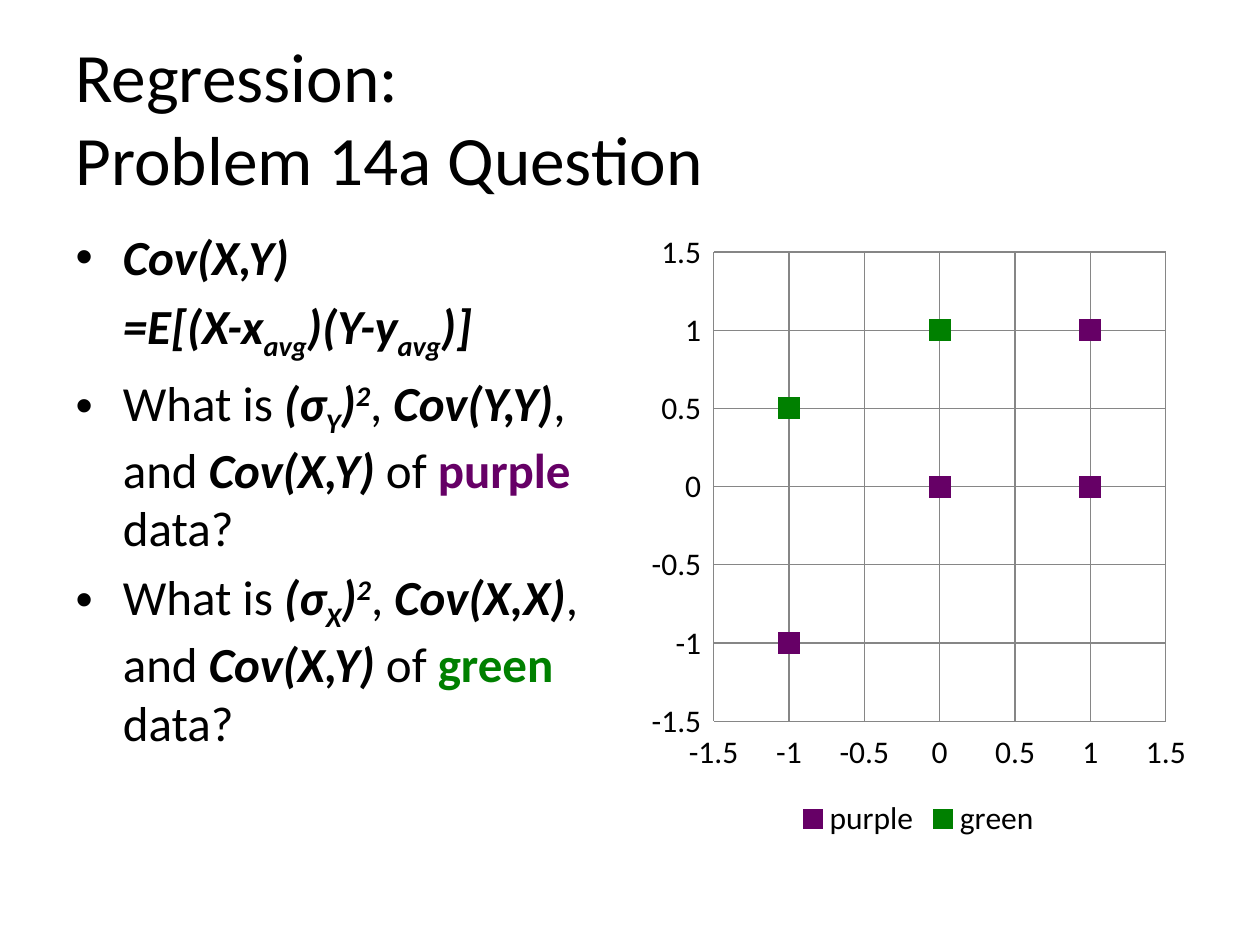
import pptx
import pptx.util
import pptx.chart.data
import pptx.dml.color
import pptx.enum.chart
import pptx.enum.text
from lxml import etree

Pt = pptx.util.Pt
FONT, BLACK, GRAY = "Calibri", "000000", "868686"
PURPLE, GREEN = "660066", "008000"

TITLE = ["Regression: ", "Problem 14a Question"]
MATH = {"bold": True, "italic": True}
SUB = {**MATH, "base": -25}
SUP = {**MATH, "base": 30}


def ask(var, name, color):
    """Runs of one question about the data of one colour."""
    return [
        ("What is ", {}), ("(σ", MATH), (var, SUB), (")", MATH), ("2", SUP),
        (", ", {}), (f"Cov({var},{var})", MATH), (", and ", {}),
        ("Cov(X,Y)", MATH), (" of ", {}),
        (name, {"bold": True, "color": color}), (" data?", {}),
    ]


# (has a bullet, runs)
BODY = [
    (True, [("Cov(X,Y)", MATH)]),
    (False, [("=E[(X-x", MATH), ("avg", SUB), (")(Y-y", MATH),
             ("avg", SUB), (")]", MATH)]),
    (True, ask("Y", "purple", PURPLE)),
    (True, ask("X", "green", GREEN)),
]
# Both series share the x values; None is an empty cell
XS = [-1, 0, 1, -1, 0, 1]
DATA = [
    ("purple", PURPLE, [-1, 0, 1, None, None, 0]),
    ("green", GREEN, [None, None, None, 0.5, 1, 0]),
]

LEFT, WIDTH, GAP = 36, 648, 12
TOP, HIGH = 126, 356.4
COL = (WIDTH - GAP) / 2


def rgb(text):
    return pptx.dml.color.RGBColor.from_string(text)


def write(para, text, size=28, color=BLACK, bold=False, italic=False, base=0):
    run = para.add_run()
    run.text = text
    font = run.font
    font.name, font.size = FONT, Pt(size)
    font.bold, font.italic = bold, italic
    font.color.rgb = rgb(color)
    if base:
        run._r.get_or_add_rPr().set("baseline", str(base * 1000))


def place(shape, x, y, w, h):
    shape.left, shape.top, shape.width, shape.height = map(Pt, (x, y, w, h))
    shape.text_frame.auto_size = pptx.enum.text.MSO_AUTO_SIZE.NONE


def plain(para):
    """Drop the bullet and keep the text on the list's indent."""
    props = para._p.get_or_add_pPr()
    props.set("marL", str(Pt(27)))
    props.set("indent", "0")
    etree.SubElement(props, pptx.oxml.ns.qn("a:buNone"))


def add_title(slide):
    shape = slide.shapes.title
    place(shape, LEFT, 21.6, WIDTH, 90)
    para = shape.text_frame.paragraphs[0]
    para.alignment = pptx.enum.text.PP_ALIGN.LEFT
    for i, line in enumerate(TITLE):
        if i:
            para.add_line_break()
        write(para, line, size=39.6)


def add_body(slide):
    shape = slide.placeholders[1]
    place(shape, LEFT, TOP, COL, HIGH)
    frame = shape.text_frame
    for i, (bullet, runs) in enumerate(BODY):
        para = frame.add_paragraph() if i else frame.paragraphs[0]
        if not i:
            para.space_before = Pt(0)
        if not bullet:
            plain(para)
        for text, style in runs:
            write(para, text, **style)


def drop_empty(series):
    """Take the points without a value out of the series."""
    for point in series._element.xpath('c:yVal//c:pt[c:v="None"]'):
        point.getparent().remove(point)


def add_plot(slide):
    kinds = pptx.enum.chart
    data = pptx.chart.data.XyChartData()
    for name, _, ys in DATA:
        series = data.add_series(name)
        for x, y in zip(XS, ys):
            series.add_data_point(x, y)
    chart = slide.shapes.add_chart(
        kinds.XL_CHART_TYPE.XY_SCATTER, Pt(LEFT + COL + GAP), Pt(TOP),
        Pt(COL), Pt(HIGH), data).chart
    chart.has_title = False
    chart.font.name, chart.font.size = FONT, Pt(18)
    chart.font.color.rgb = rgb(BLACK)
    chart.has_legend = True
    chart.legend.position = kinds.XL_LEGEND_POSITION.BOTTOM
    chart.legend.include_in_layout = False
    chart.plots[0].vary_by_categories = False

    for axis in (chart.category_axis, chart.value_axis):
        axis.minimum_scale, axis.maximum_scale = -1.5, 1.5
        axis.major_unit = 0.5
        axis.tick_label_position = kinds.XL_TICK_LABEL_POSITION.LOW
        axis.major_tick_mark = kinds.XL_TICK_MARK.CROSS
        axis.has_major_gridlines = True
        axis.tick_labels.number_format = "General"
        axis.tick_labels.number_format_is_linked = False
        for line in (axis.format.line, axis.major_gridlines.format.line):
            line.color.rgb = rgb(GRAY)
            line.width = Pt(0.75)

    for series, (_, color, _) in zip(chart.plots[0].series, DATA):
        drop_empty(series)
        series.smooth = False
        series.format.line.fill.background()
        mark = series.marker
        mark.style, mark.size = kinds.XL_MARKER_STYLE.SQUARE, 12
        mark.format.fill.solid()
        mark.format.fill.fore_color.rgb = rgb(color)
        mark.format.line.color.rgb = rgb(color)


def main():
    deck = pptx.Presentation()
    deck.slide_width, deck.slide_height = Pt(720), Pt(540)
    slide = deck.slides.add_slide(deck.slide_layouts[1])
    add_title(slide)
    add_body(slide)
    add_plot(slide)
    deck.save("out.pptx")


if __name__ == "__main__":
    main()
